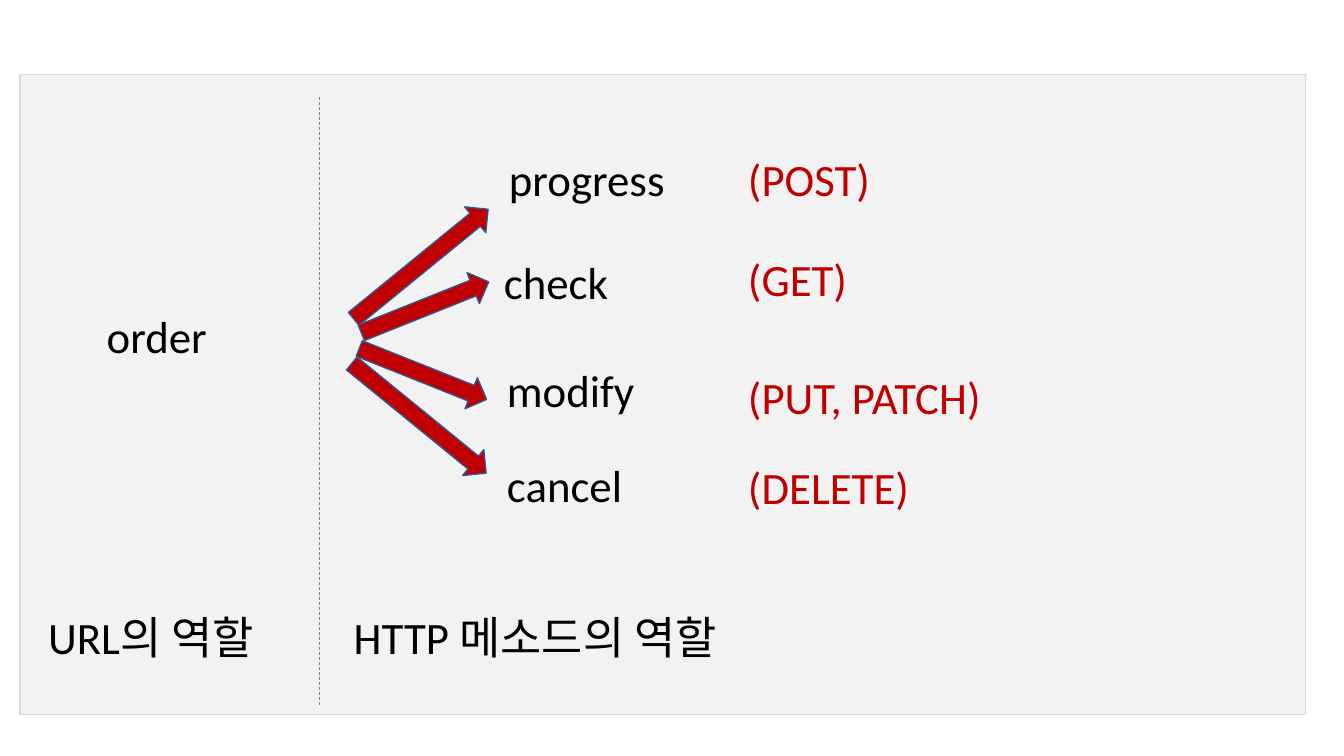
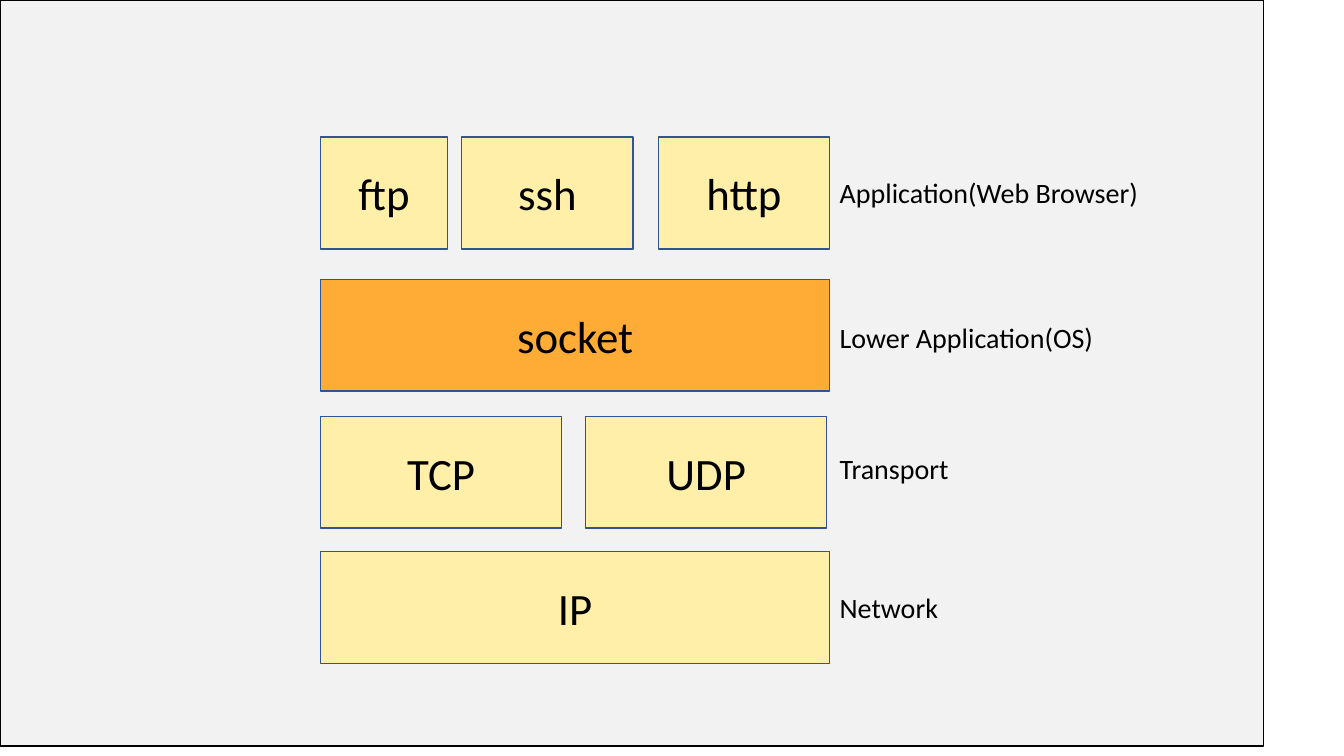
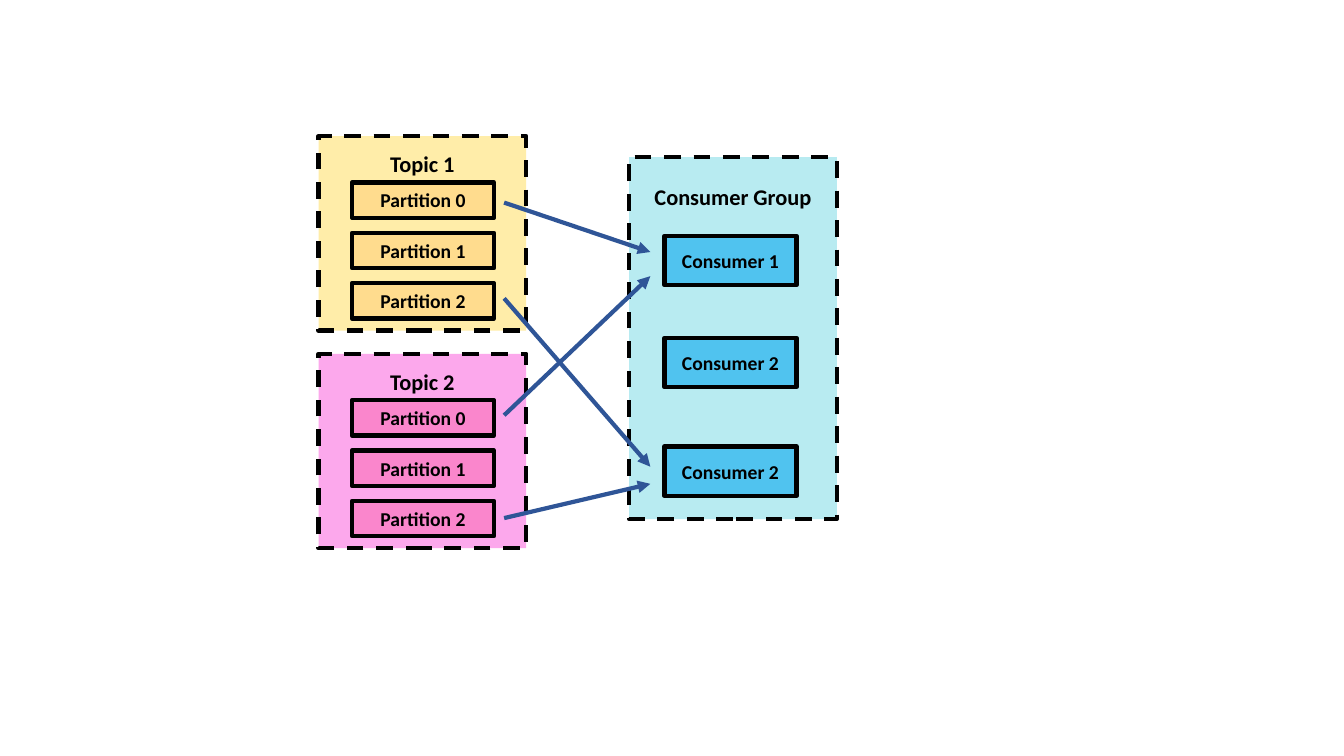
from pptx import Presentation
from pptx.dml.color import RGBColor
from pptx.enum.dml import MSO_LINE
from pptx.enum.shapes import MSO_CONNECTOR, MSO_SHAPE
from pptx.enum.text import MSO_ANCHOR, PP_ALIGN
from pptx.oxml.ns import qn
from pptx.util import Pt
from lxml import etree

PX = 9144  # 100 px to the inch
FONT = "Calibri"
RECT, ARROW = MSO_SHAPE.RECTANGLE, MSO_SHAPE.UP_ARROW
DASH = MSO_LINE.DASH
LEFT, CENTER = PP_ALIGN.LEFT, PP_ALIGN.CENTER
TOP, MIDDLE = MSO_ANCHOR.TOP, MSO_ANCHOR.MIDDLE

BLACK = RGBColor(0x00, 0x00, 0x00)
PALE = RGBColor(0xF2, 0xF2, 0xF2)
SILVER = RGBColor(0xD9, 0xD9, 0xD9)
GRAY = RGBColor(0x7F, 0x7F, 0x7F)
RED = RGBColor(0xC0, 0x00, 0x00)
NAVY = RGBColor(0x32, 0x54, 0x91)
BLUE = RGBColor(0x2F, 0x55, 0x97)
CREAM = RGBColor(0xFF, 0xEF, 0xA9)
ORANGE = RGBColor(0xFF, 0xAC, 0x37)
YELLOW = RGBColor(0xFF, 0xEC, 0xA1)
AMBER = RGBColor(0xFF, 0xDC, 0x8E)
PINK = RGBColor(0xFC, 0xA0, 0xEB)
ROSE = RGBColor(0xFA, 0x86, 0xCC)
AQUA = RGBColor(0xB2, 0xEA, 0xF0)
SKY = RGBColor(0x50, 0xC3, 0xEF)


def put(slide, area, text="", kind=RECT, fill=None, edge=NAVY, width=1, dash=None,
        alpha=None, size=32, color=BLACK, bold=False, align=CENTER, anchor=MIDDLE, inset=5):
    """Add a shape, or a plain text box when no fill is given."""
    place = [n * PX for n in area]
    if fill is None:
        item = slide.shapes.add_textbox(*place)
    else:
        item = slide.shapes.add_shape(kind, *place)
        item.shadow.inherit = False
        item.fill.solid()
        item.fill.fore_color.rgb = fill
        item.line.color.rgb = edge
        item.line.width = Pt(width)
        item.line.dash_style = dash
        if alpha:
            tint = item.fill._xPr.find(".//" + qn("a:srgbClr"))
            etree.SubElement(tint, qn("a:alpha"), val=str(alpha * 1000))
    if text:
        frame = item.text_frame
        frame.word_wrap = True
        frame.vertical_anchor = anchor
        frame.margin_top = inset * PX
        par = frame.paragraphs[0]
        par.alignment = align
        run = par.add_run()
        run.text = text
        run.font.name, run.font.size, run.font.bold = FONT, Pt(size), bold
        run.font.color.rgb = color
    return item


def link(slide, ends, color, width, dash=None, head=False):
    """Draw a line from the first point in ends to the second."""
    line = slide.shapes.add_connector(MSO_CONNECTOR.STRAIGHT, *[n * PX for n in ends])
    line.line.color.rgb = color
    line.line.width = Pt(width)
    line.line.dash_style = dash
    if head:
        etree.SubElement(line.line._get_or_add_ln(), qn("a:tailEnd"), type="triangle")
    etree.SubElement(line._element.spPr, qn("a:effectLst"))


deck = Presentation()
deck.slide_width, deck.slide_height = 1333 * PX, 750 * PX
blank = deck.slide_layouts[6]

# URL and HTTP method roles
slide = deck.slides.add_slide(blank)
put(slide, (20, 74, 1275, 635), fill=PALE, edge=SILVER)
link(slide, (317, 96, 317, 699), GRAY, 0.5, dash=DASH)

for x, y, high, turn in [
    (401, 176, 172, 50.8),
    (399, 329, 172, 129.2),
    (403, 303, 136, 111.8),
    (405, 237, 136, 68.2),
]:
    put(slide, (x, y, 33, high), kind=ARROW, fill=RED).rotation = turn

for x, y, wide, text, color in [
    (96, 301, 150, "order", BLACK),
    (495, 146, 230, "progress", BLACK),
    (490, 248, 153, "check", BLACK),
    (493, 355, 176, "modify", BLACK),
    (493, 449, 167, "cancel", BLACK),
    (732, 146, 171, "(POST)", RED),
    (732, 245, 140, "(GET)", RED),
    (732, 362, 315, "(PUT, PATCH)", RED),
    (732, 451, 235, "(DELETE)", RED),
    (38, 600, 258, "URL의 역할", BLACK),
    (341, 600, 427, "HTTP 메소드의 역할", BLACK),
]:
    put(slide, (x, y, wide, 64), text, color=color, align=LEFT, anchor=TOP)

# Network layers
slide = deck.slides.add_slide(blank)
put(slide, (0, 0, 1253, 740), fill=PALE, edge=BLACK)

layers = [
    (136, CREAM, [("ftp", 318, 126), ("ssh", 458, 170), ("http", 653, 170)],
     "Application(Web Browser)", 169),
    (277, ORANGE, [("socket", 318, 505)], "Lower Application(OS)", 313),
    (413, CREAM, [("TCP", 318, 239), ("UDP", 581, 239)], "Transport", 443),
    (547, CREAM, [("IP", 318, 505)], "Network", 581),
]
for y, fill, parts, label, low in layers:
    for text, x, wide in parts:
        put(slide, (x, y, wide, 111), text, fill=fill)
    put(slide, (823, low, 390, 44), label, size=20, align=LEFT, anchor=TOP)

# Topics and consumers
slide = deck.slides.add_slide(blank)
group = dict(edge=BLACK, width=3, dash=DASH, alpha=91, size=16, bold=True, anchor=TOP)
cell = dict(edge=BLACK, width=3, size=14, bold=True)

for name, y, back, fill in [("Topic 1", 135, YELLOW, AMBER), ("Topic 2", 351, PINK, ROSE)]:
    put(slide, (316, y, 206, 193), name, fill=back, inset=14, **group)
    for i in range(3):
        put(slide, (349, y + 46 + 50 * i, 141, 35), f"Partition {i}", fill=fill, **cell)

put(slide, (624, 156, 206, 359), "Consumer Group", fill=AQUA, inset=26, **group)
for name, y in [("Consumer 1", 234), ("Consumer 2", 335), ("Consumer 2", 443)]:
    put(slide, (659, y, 131, 49), name, fill=SKY, **cell)

for start, end in [(201, 250), (296, 463), (412, 274), (514, 480)]:
    link(slide, (500, start, 645, end), BLUE, 3, head=True)

deck.save("out.pptx")
